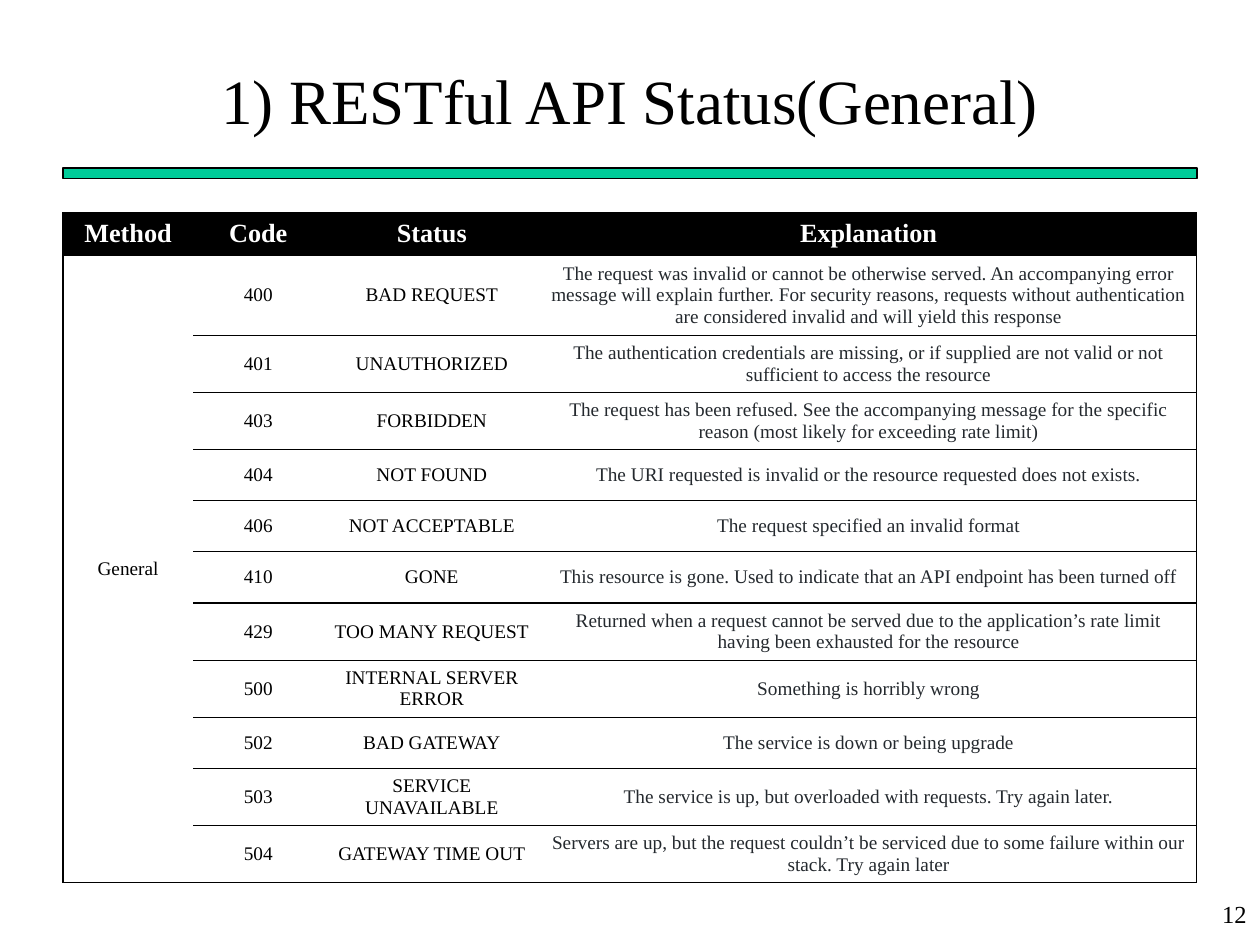
from lxml.etree import SubElement
from pptx import Presentation
from pptx.dml.color import RGBColor
from pptx.enum.shapes import MSO_SHAPE as Shape
from pptx.enum.text import MSO_ANCHOR as Anchor, PP_ALIGN as Align
from pptx.oxml.ns import qn
from pptx.util import Pt

FONT = "Times New Roman"
BLACK = RGBColor(0x00, 0x00, 0x00)
WHITE = RGBColor(0xFF, 0xFF, 0xFF)
GREEN = RGBColor(0x00, 0xCC, 0x99)
CHARCOAL = RGBColor(0x24, 0x29, 0x2E)

TITLE = "1) RESTful API Status(General)"
PAGE_NUMBER = "12"
HEADINGS = ("Method", "Code", "Status", "Explanation")
METHOD = "General"

# Row heights by the number of text lines in the row
LINE_HEIGHTS = {1: 29.2, 2: 31.7, 3: 44.1}
HEADING_HEIGHT = 23.4

# code, status, explanation, text lines
STATUSES = [
    ("400", "BAD REQUEST",
     "The request was invalid or cannot be otherwise served. An accompanying "
     "error message will explain further. For security reasons, requests "
     "without authentication are considered invalid and will yield this "
     "response", 3),
    ("401", "UNAUTHORIZED",
     "The authentication credentials are missing, or if supplied are not "
     "valid or not sufficient to access the resource", 2),
    ("403", "FORBIDDEN",
     "The request has been refused. See the accompanying message for the "
     "specific reason (most likely for exceeding rate limit)", 2),
    ("404", "NOT FOUND",
     "The URI requested is invalid or the resource requested does not "
     "exists.", 1),
    ("406", "NOT ACCEPTABLE", "The request specified an invalid format", 1),
    ("410", "GONE",
     "This resource is gone. Used to indicate that an API endpoint has been "
     "turned off", 1),
    ("429", "TOO MANY REQUEST",
     "Returned when a request cannot be served due to the application’s rate "
     "limit having been exhausted for the resource", 2),
    ("500", "INTERNAL SERVER ERROR", "Something is horribly wrong", 2),
    ("502", "BAD GATEWAY", "The service is down or being upgrade", 1),
    ("503", "SERVICE UNAVAILABLE",
     "The service is up, but overloaded with requests. Try again later.", 2),
    ("504", "GATEWAY TIME OUT",
     "Servers are up, but the request couldn’t be serviced due to some "
     "failure within our stack. Try again later", 2),
]

LEFT, WIDTH = 36, 648
TABLE_TOP = 121.7
COLUMN_WIDTHS = (74.4, 74.4, 124, 375.2)


def write(frame, text, size=11, color=BLACK, bold=False, align=Align.CENTER):
    frame.word_wrap = True
    paragraph = frame.paragraphs[0]
    paragraph.alignment = align
    run = paragraph.add_run()
    run.text = text
    font = run.font
    font.name, font.size, font.bold = FONT, Pt(size), bold
    font.color.rgb = color


def add_text(slide, box, text, anchor=Anchor.TOP, **text_format):
    frame = slide.shapes.add_textbox(*map(Pt, box)).text_frame
    frame.vertical_anchor = anchor
    write(frame, text, **text_format)


def set_borders(cell, sides):
    """Draw the named sides (L, R, T, B) in black and hide the others."""
    properties = cell._tc.get_or_add_tcPr()
    for side in "LRTB":
        line = SubElement(properties, qn(f"a:ln{side}"), w=str(Pt(0.75)))
        if side in sides:
            fill = SubElement(line, qn("a:solidFill"))
            SubElement(fill, qn("a:srgbClr"), val=str(BLACK))
        else:
            SubElement(line, qn("a:noFill"))


def fill_cell(cell, text, sides, fill, **text_format):
    set_borders(cell, sides)
    cell.fill.solid()
    cell.fill.fore_color.rgb = fill
    cell.vertical_anchor = Anchor.MIDDLE
    cell.margin_left = cell.margin_right = Pt(6.2)
    cell.margin_top = cell.margin_bottom = Pt(3.1)
    write(cell.text_frame, text, **text_format)


def add_status_table(slide):
    heights = [HEADING_HEIGHT] + [LINE_HEIGHTS[row[-1]] for row in STATUSES]
    table = slide.shapes.add_table(
        len(heights), len(HEADINGS), Pt(LEFT), Pt(TABLE_TOP), Pt(WIDTH),
        Pt(sum(heights))).table
    table.first_row = table.horz_banding = False
    for row, height in zip(table.rows, heights):
        row.height = Pt(height)
    for column, width in zip(table.columns, COLUMN_WIDTHS):
        column.width = Pt(width)

    column_sides = ("LTB", "TB", "TB", "RTB")
    for column, heading in enumerate(HEADINGS):
        fill_cell(table.cell(0, column), heading, column_sides[column], BLACK,
                  size=15, color=WHITE, bold=True)

    method = table.cell(1, 0)
    method.merge(table.cell(len(STATUSES), 0))
    fill_cell(method, METHOD, column_sides[0], WHITE)

    text_colors = (BLACK, BLACK, CHARCOAL)
    for row, (*texts, _) in enumerate(STATUSES, 1):
        for column, (text, color) in enumerate(zip(texts, text_colors), 1):
            fill_cell(table.cell(row, column), text, column_sides[column],
                      WHITE, color=color)


def main():
    deck = Presentation()
    deck.slide_width, deck.slide_height = Pt(720), Pt(540)
    slide = deck.slides.add_slide(deck.slide_layouts[6])

    rule = slide.shapes.add_shape(
        Shape.RECTANGLE, Pt(LEFT), Pt(96), Pt(WIDTH), Pt(6))
    rule.shadow.inherit = False
    rule.fill.solid()
    rule.fill.fore_color.rgb = GREEN
    rule.line.color.rgb = BLACK
    rule.line.width = Pt(0.75)

    add_text(slide, (LEFT, 24, WIDTH, 66), TITLE, Anchor.MIDDLE, size=36)
    add_text(slide, (569.5, 510, 150, 30), PAGE_NUMBER, size=14,
             align=Align.RIGHT)
    add_status_table(slide)
    deck.save("out.pptx")


if __name__ == "__main__":
    main()
